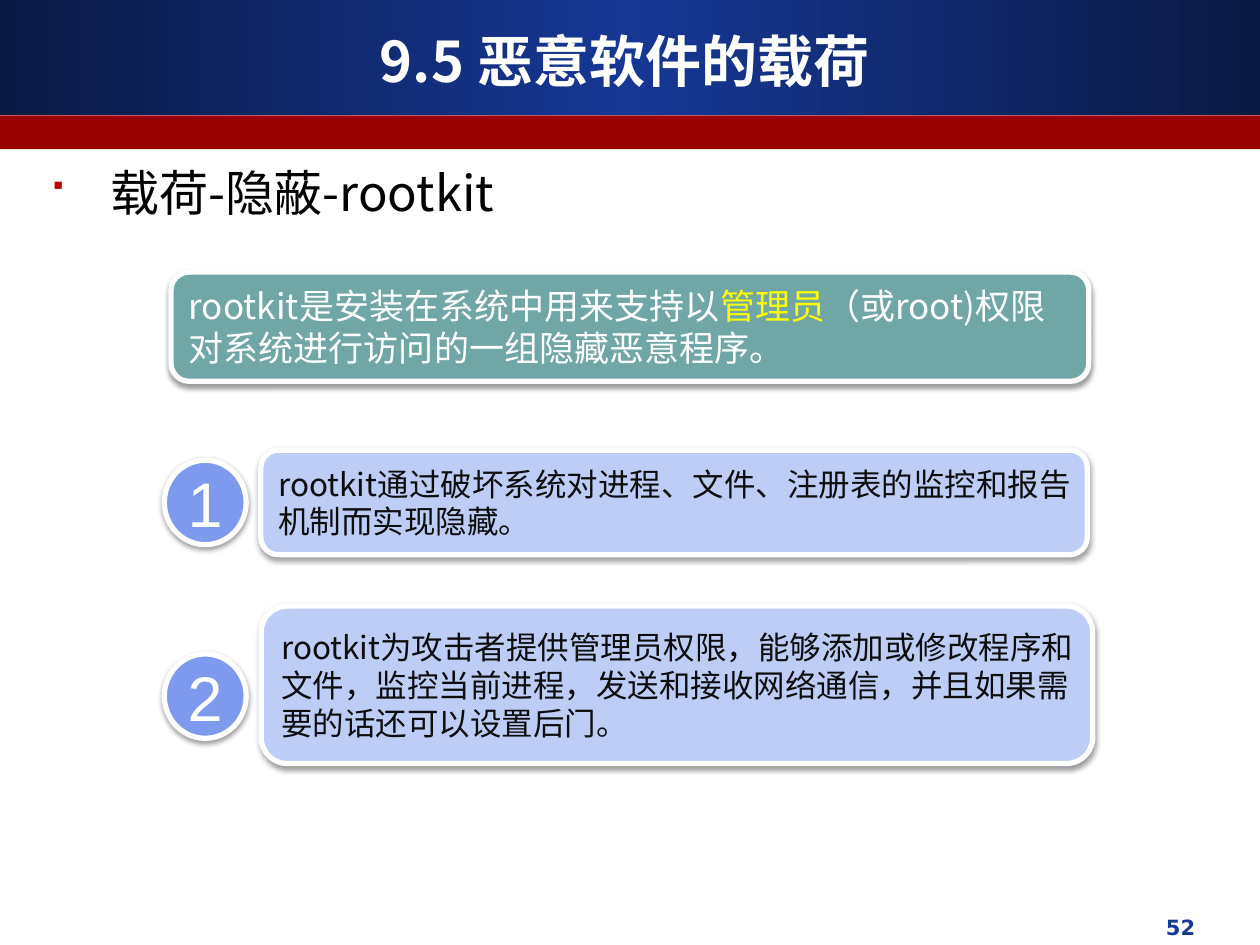
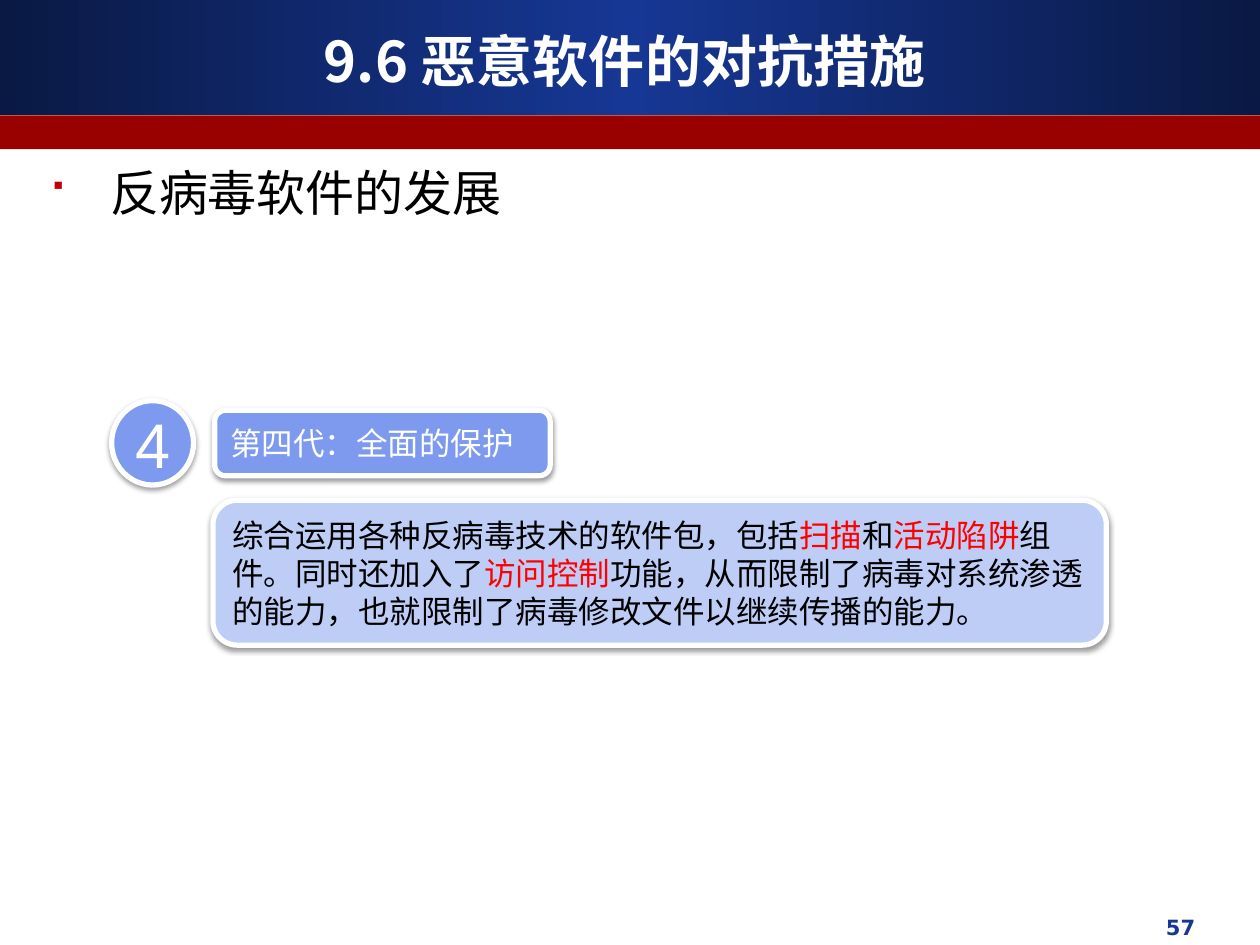
"""Build two lecture slides on malware payloads and countermeasures."""
import copy
import dataclasses

import lxml.etree
import pptx
import pptx.dml.color
import pptx.enum.shapes
import pptx.enum.text
import pptx.oxml.ns
import pptx.util


@dataclasses.dataclass(frozen=True)
class Theme:
    navy: str = "0A1944"
    blue: str = "163794"
    crimson: str = "990000"
    bullet: str = "C00000"
    teal: str = "71A6A6"
    badge: str = "7E9AEE"
    panel: str = "BECDF6"
    white: str = "FFFFFF"
    black: str = "000000"
    ink: str = "0D0D0D"
    yellow: str = "FFFF00"
    red: str = "FF0000"
    cjk: str = "Noto Sans CJK SC"
    digits: str = "Arial"
    footer: str = "DejaVu Sans"
    symbols: str = "Wingdings"
    title_size: int = 32
    heading_size: int = 28
    lead_size: int = 20
    body_size: int = 18
    badge_size: int = 36
    footer_size: int = 12
    leading: float = 1.2


theme = Theme()
rgb = pptx.dml.color.RGBColor.from_string
qn = pptx.oxml.ns.qn
shapes = pptx.enum.shapes.MSO_SHAPE
align = pptx.enum.text.PP_ALIGN
anchor = pptx.enum.text.MSO_ANCHOR

deck = pptx.Presentation()
deck.slide_width = pptx.util.Inches(10)
deck.slide_height = pptx.util.Inches(7.5)
column = deck.slide_width / 100
row = deck.slide_height / 75


def add_block(page, preset, place, fill, outline=0, shadow=False):
    """Place a filled shape by (column, row, columns, rows)."""
    left, top, width, height = place
    box = page.shapes.add_shape(preset, round(left * column), round(top * row),
                                round(width * column), round(height * row))
    box.shadow.inherit = False
    box.fill.solid()
    box.fill.fore_color.rgb = rgb(fill)
    if outline:
        box.line.color.rgb = rgb(theme.white)
        box.line.width = pptx.util.Pt(outline)
    else:
        box.line.fill.background()
    if shadow:
        effects = box._element.spPr.find(qn("a:effectLst"))
        outer = lxml.etree.SubElement(
            effects, qn("a:outerShdw"), blurRad=str(pptx.util.Pt(3.1)),
            dist=str(pptx.util.Pt(1.6)), dir="5400000", rotWithShape="0")
        color = lxml.etree.SubElement(outer, qn("a:srgbClr"), val=theme.black)
        lxml.etree.SubElement(color, qn("a:alpha"), val="38000")
    return box


def write(box, spans, size, font=theme.cjk, alignment=align.LEFT,
          middle=True, bold=False, wrap=True):
    """Fill a box with one paragraph of (text, colour) spans."""
    frame = box.text_frame
    frame.word_wrap = wrap
    frame.vertical_anchor = anchor.MIDDLE if middle else anchor.TOP
    para = frame.paragraphs[0]
    para.alignment = alignment
    para._p.get_or_add_pPr().set("hangingPunct", "0")
    if font == theme.cjk:
        para.line_spacing = pptx.util.Pt(size * theme.leading)
    for text, color in spans:
        span = para.add_run()
        span.text = text
        span.font.size = pptx.util.Pt(size)
        span.font.name = font
        span.font.bold = bold
        span.font.color.rgb = rgb(color)
        lxml.etree.SubElement(span.font._element, qn("a:ea"), typeface=font)
    return para


slides = [
    {
        "title": "9.5 恶意软件的载荷",
        "heading": "载荷-隐蔽-rootkit",
        "number": "52",
        "panels": [
            ((13.57, 21.6, 72.85, 8.67), theme.teal, theme.lead_size, [
                ("rootkit是安装在系统中用来支持以", theme.white),
                ("管理员", theme.yellow),
                ("（或root)权限对系统进行访问的一组隐藏恶意程序。", theme.white)]),
            ((20.7, 35.73, 65.6, 8.3), theme.panel, theme.body_size, [
                ("rootkit通过破坏系统对进程、文件、注册表的监控和报告机制而实现隐藏。",
                 theme.ink)]),
            ((20.73, 48.1, 66, 12.5), theme.panel, theme.body_size, [
                ("rootkit为攻击者提供管理员权限，能够添加或修改程序和文件，监控当前进程，"
                 "发送和接收网络通信，并且如果需要的话还可以设置后门。", theme.ink)]),
        ],
        "badges": [("1", 13.04, 36.53), ("2", 13.04, 51.9)],
    },
    {
        "title": "9.6 恶意软件的对抗措施",
        "heading": "反病毒软件的发展",
        "number": "57",
        "panels": [
            ((17.04, 32.56, 26.63, 5.2), theme.badge, theme.body_size, [
                ("第四代：全面的保护", theme.white)]),
            ((16.9, 39.7, 70.9, 11.5), theme.panel, theme.body_size, [
                ("综合运用各种反病毒技术的软件包，包括", theme.black),
                ("扫描", theme.red),
                ("和", theme.black),
                ("活动陷阱", theme.red),
                ("组件。同时还加入了", theme.black),
                ("访问控制", theme.red),
                ("功能，从而限制了病毒对系统渗透的能力，也就限制了病毒修改文件以继续传播的能力。",
                 theme.black)]),
        ],
        "badges": [("4", 8.86, 31.8)],
    },
]

for content in slides:
    page = deck.slides.add_slide(deck.slide_layouts[6])

    band = add_block(page, shapes.RECTANGLE, (0, 0, 100, 9.1), theme.blue)
    band.fill.gradient()
    band.fill.gradient_angle = 0
    for stop in band.fill.gradient_stops:
        stop.color.rgb = rgb(theme.navy)
    first = band._element.spPr.find(".//" + qn("a:gs"))
    center = copy.deepcopy(first)
    center.set("pos", "50000")
    center.find(qn("a:srgbClr")).set("val", theme.blue)
    first.addnext(center)
    add_block(page, shapes.RECTANGLE, (0, 9.15, 100, 2.68), theme.crimson)

    title = page.shapes.add_textbox(round(3.33 * column), round(1.7 * row),
                                    round(92.5 * column), round(6.2 * row))
    write(title, [(content["title"], theme.white)], theme.title_size,
          alignment=align.CENTER, bold=True)

    number = page.shapes.add_textbox(round(64.17 * column), round(72.1 * row),
                                     round(31.67 * column), round(3.5 * row))
    write(number, [(content["number"], theme.blue)], theme.footer_size,
          theme.footer, align.RIGHT, middle=False, bold=True)

    heading = add_block(page, shapes.RECTANGLE, (2.76, 12.4, 55.1, 5.7), theme.white, 2)
    para = write(heading, [(content["heading"], theme.black)], theme.heading_size,
                 middle=False)
    properties = para._p.get_or_add_pPr()
    indent = pptx.util.Inches(0.5)
    properties.set("marL", str(indent))
    properties.set("indent", str(-indent))
    bullet_color = lxml.etree.SubElement(properties, qn("a:buClr"))
    lxml.etree.SubElement(bullet_color, qn("a:srgbClr"), val=theme.bullet)
    lxml.etree.SubElement(properties, qn("a:buFont"), typeface=theme.symbols,
                          pitchFamily="2", charset="2")
    lxml.etree.SubElement(properties, qn("a:buChar"), char="■")

    for place, fill, size, spans in content["panels"]:
        panel = add_block(page, shapes.ROUNDED_RECTANGLE, place, fill, 3, shadow=True)
        panel.text_frame.margin_right = pptx.util.Inches(0.09)
        write(panel, spans, size)

    for digit, left, top in content["badges"]:
        badge = add_block(page, shapes.OVAL, (left, top, 6.5, 6.7), theme.badge, 3,
                          shadow=True)
        write(badge, [(digit, theme.white)], theme.badge_size, theme.digits,
              align.CENTER, wrap=False)

deck.save("out.pptx")
